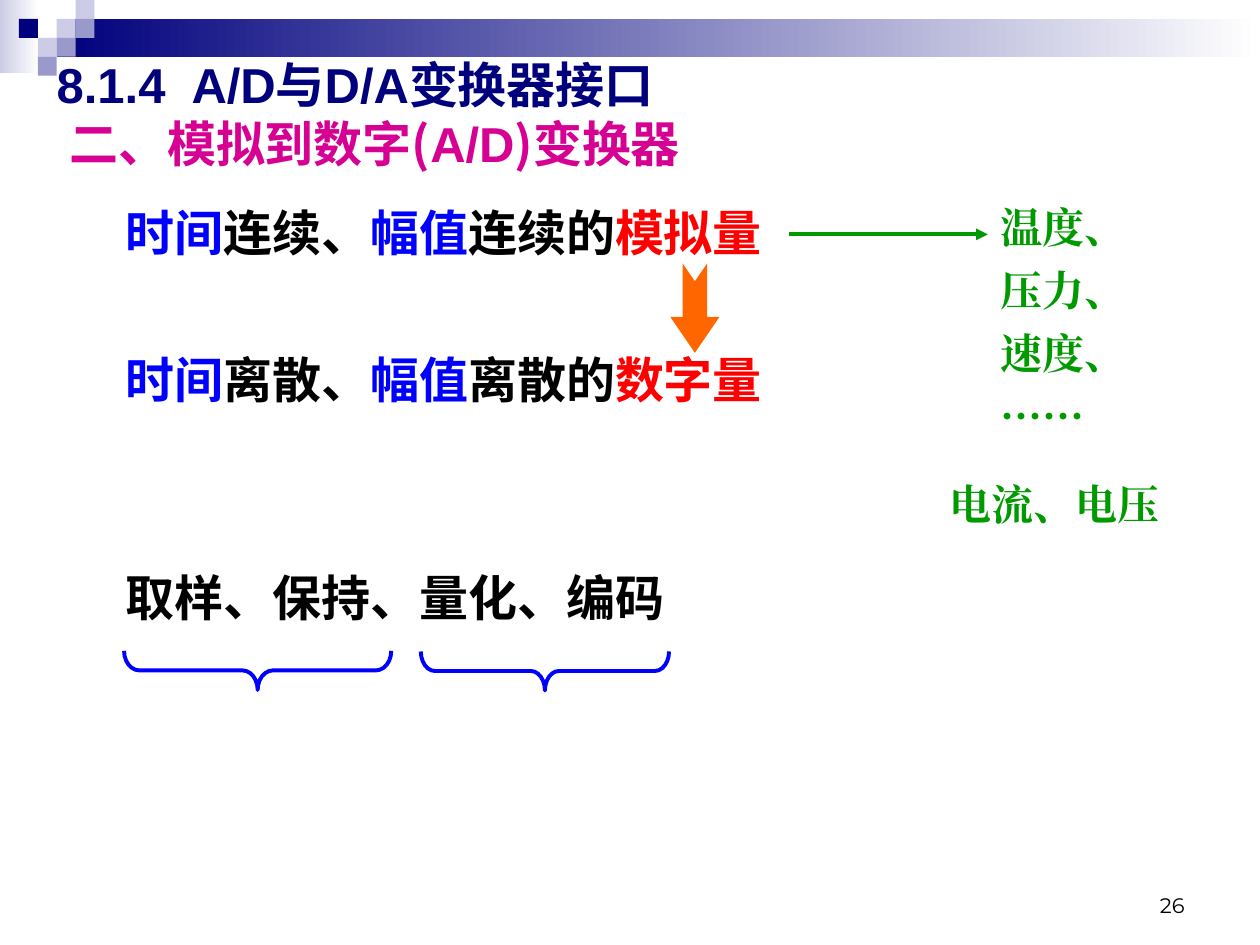
from lxml import etree
from pptx import Presentation
from pptx.dml.color import RGBColor
from pptx.enum.shapes import MSO_CONNECTOR, MSO_SHAPE
from pptx.enum.text import MSO_ANCHOR, PP_ALIGN
from pptx.oxml.ns import qn
from pptx.util import Inches, Pt

RECTANGLE = MSO_SHAPE.RECTANGLE
NOTCHED_ARROW = MSO_SHAPE.NOTCHED_RIGHT_ARROW
LEFT_BRACE = MSO_SHAPE.LEFT_BRACE
STRAIGHT = MSO_CONNECTOR.STRAIGHT
TOP, BOTTOM = MSO_ANCHOR.TOP, MSO_ANCHOR.BOTTOM
LEFT, RIGHT = PP_ALIGN.LEFT, PP_ALIGN.RIGHT

COLORS = {
    "navy": "00007D", "lilac": "CCCCE6", "violet": "9999CC", "white": "FFFFFF",
    "magenta": "D60093", "blue": "0000FF", "black": "000000", "red": "FF0000",
    "orange": "FF6600", "green": "009900",
}
SANS, SERIF, CJK = "Arial", "Times New Roman", "Noto Sans CJK SC"


def rgb(name):
    """Return the palette colour called name."""
    return RGBColor.from_string(COLORS[name])


def add_run(paragraph, text, color, size, font=SANS, bold=True):
    """Add one formatted run, with the same font for East Asian text."""
    run = paragraph.add_run()
    run.text = text
    run.font.size, run.font.bold, run.font.name = Pt(size), bold, font
    run.font.color.rgb = rgb(color)
    etree.SubElement(run.font._element, qn("a:ea"), typeface=font)


def set_spacing(paragraph, line, before=0):
    """Set the exact line height and the space before, in points."""
    paragraph.alignment = LEFT
    paragraph.line_spacing = Pt(line)
    paragraph.space_before = Pt(before)
    paragraph.space_after = Pt(0)


def add_text_frame(slide, box):
    """Add a wrapping text box and return its frame."""
    frame = slide.shapes.add_textbox(*map(Inches, box)).text_frame
    frame.word_wrap = True
    return frame


def next_paragraph(frame, index):
    """Return the first paragraph of a frame, or a new one after it."""
    return frame.add_paragraph() if index else frame.paragraphs[0]


def add_plain_shape(slide, kind, box):
    """Add a shape without shadow."""
    shape = slide.shapes.add_shape(kind, *map(Inches, box))
    shape.shadow.inherit = False
    return shape


def add_gradient(slide, box, start):
    """Add a borderless rectangle fading to white on the right."""
    bar = add_plain_shape(slide, RECTANGLE, box)
    bar.line.fill.background()
    bar.fill.gradient()
    bar.fill.gradient_angle = 0
    for stop, color in zip(bar.fill.gradient_stops, (start, "white")):
        stop.color.rgb = rgb(color)


def add_header(slide, box):
    """Draw the gradient band and its mosaic of squares."""
    left, top, width, _ = box
    step = 0.15
    add_gradient(slide, (left, top, 0.31, 0.58), "lilac")
    add_gradient(slide, (left + 3 * step, top + step, width - 3 * step, 2 * step), "navy")
    squares = [(3, 1, "lilac"), (4, 0, "lilac"), (4, 1, "violet"), (2, 2, "lilac"),
               (1, 1, "navy"), (3, 2, "violet"), (2, 3, "violet")]
    for column, row, color in squares:
        square = add_plain_shape(
            slide, RECTANGLE, (left + column * step, top + row * step, step, step))
        square.fill.solid()
        square.fill.fore_color.rgb = rgb(color)
        square.line.fill.background()


def add_title(slide, box):
    """Fill the title with the section number, name and subsection."""
    title = slide.shapes.title
    title.left, title.top, title.width, title.height = map(Inches, box)
    frame = title.text_frame
    frame.vertical_anchor = TOP
    frame.word_wrap = True
    section = frame.paragraphs[0]
    set_spacing(section, 33.7)
    tabs = etree.SubElement(section._p.get_or_add_pPr(), qn("a:tabLst"))
    etree.SubElement(tabs, qn("a:tab"), pos=str(Inches(1.07)), algn="l")
    add_run(section, "8.1.4\tA/D与D/A变换器接口", "navy", 28)
    subsection = frame.add_paragraph()
    set_spacing(subsection, 33.7)
    subsection._p.get_or_add_pPr().set("marL", str(Inches(0.1)))
    for text, font in [("二、模拟到数字", SANS), ("(", CJK), ("A/D", SANS),
                       (")", CJK), ("变换器", SANS)]:
        add_run(subsection, text, "magenta", 28, font)


def add_conversion(slide, box):
    """Write the analog and digital lines and the conversion steps."""
    frame = add_text_frame(slide, box)
    lines = [
        (0, [("时间", "blue"), ("连续、", "black"), ("幅值", "blue"),
             ("连续的", "black"), ("模拟量", "red")]),
        (50, [("时间", "blue"), ("离散、", "black"), ("幅值", "blue"),
              ("离散的", "black"), ("数字量", "red")]),
        (90.6, [("取样、保持、量化、编码", "black")]),
    ]
    for index, (before, runs) in enumerate(lines):
        paragraph = next_paragraph(frame, index)
        set_spacing(paragraph, 34, before)
        for text, color in runs:
            add_run(paragraph, text, color, 28)


def add_quantities(slide, box, quantities):
    """List physical quantities in green, one a line."""
    frame = add_text_frame(slide, box)
    for index, (text, font) in enumerate(quantities):
        paragraph = next_paragraph(frame, index)
        set_spacing(paragraph, 28.8, 7.2 if index else 0)
        add_run(paragraph, text, "green", 24, font)


def add_down_arrow(slide, box):
    """Draw the notched arrow from analog to digital."""
    arrow = add_plain_shape(slide, NOTCHED_ARROW, box)
    arrow.rotation = 90
    arrow.adjustments[0], arrow.adjustments[1] = 0.5, 0.73
    arrow.fill.solid()
    arrow.fill.fore_color.rgb = rgb("orange")
    arrow.line.fill.background()


def add_example_arrow(slide, start, end):
    """Draw the thin arrow to the examples."""
    arrow = slide.shapes.add_connector(STRAIGHT, *map(Inches, start + end))
    arrow.line.color.rgb = rgb("green")
    arrow.line.width = Pt(2.25)
    etree.SubElement(arrow.line._get_or_add_ln(), qn("a:tailEnd"), type="triangle")
    etree.SubElement(arrow._element.spPr, qn("a:effectLst"))


def add_brace(slide, box, curve):
    """Draw a brace opening upwards below a pair of steps."""
    brace = add_plain_shape(slide, LEFT_BRACE, box)
    brace.rotation = 270
    brace.adjustments[0], brace.adjustments[1] = curve, 0.5
    brace.fill.background()
    brace.line.color.rgb = rgb("blue")
    brace.line.width = Pt(2.25)


def add_page_number(slide, box):
    """Write the page number at the bottom right."""
    frame = add_text_frame(slide, box)
    frame.vertical_anchor = BOTTOM
    frame.paragraphs[0].alignment = RIGHT
    add_run(frame.paragraphs[0], "26", "black", 12, "Montserrat", False)


def main():
    """Build and save the slide."""
    deck = Presentation()
    deck.slide_width, deck.slide_height = Inches(10), Inches(7.5)
    slide = deck.slides.add_slide(deck.slide_layouts[5])
    add_header(slide, (0, 0, 10, 0.6))
    add_page_number(slide, (7.17, 6.83, 2.33, 0.5))
    add_title(slide, (0.35, 0.38, 9.37, 1.02))
    add_conversion(slide, (0.9, 1.55, 8.9, 5.75))
    add_down_arrow(slide, (5.16, 2.25, 0.71, 0.39))
    add_quantities(slide, (7.84, 1.55, 1.26, 2.06),
                   [("温度、", SERIF), ("压力、", SERIF), ("速度、", SERIF), ("……", CJK)])
    add_example_arrow(slide, (6.26, 1.86), (7.84, 1.86))
    add_brace(slide, (1.89, 4.26, 0.31, 2.12), 0.39)
    add_brace(slide, (4.17, 4.34, 0.31, 1.97), 0.36)
    add_quantities(slide, (7.44, 3.75, 1.97, 0.5), [("电流、电压", SERIF)])
    deck.save("out.pptx")


if __name__ == "__main__":
    main()
